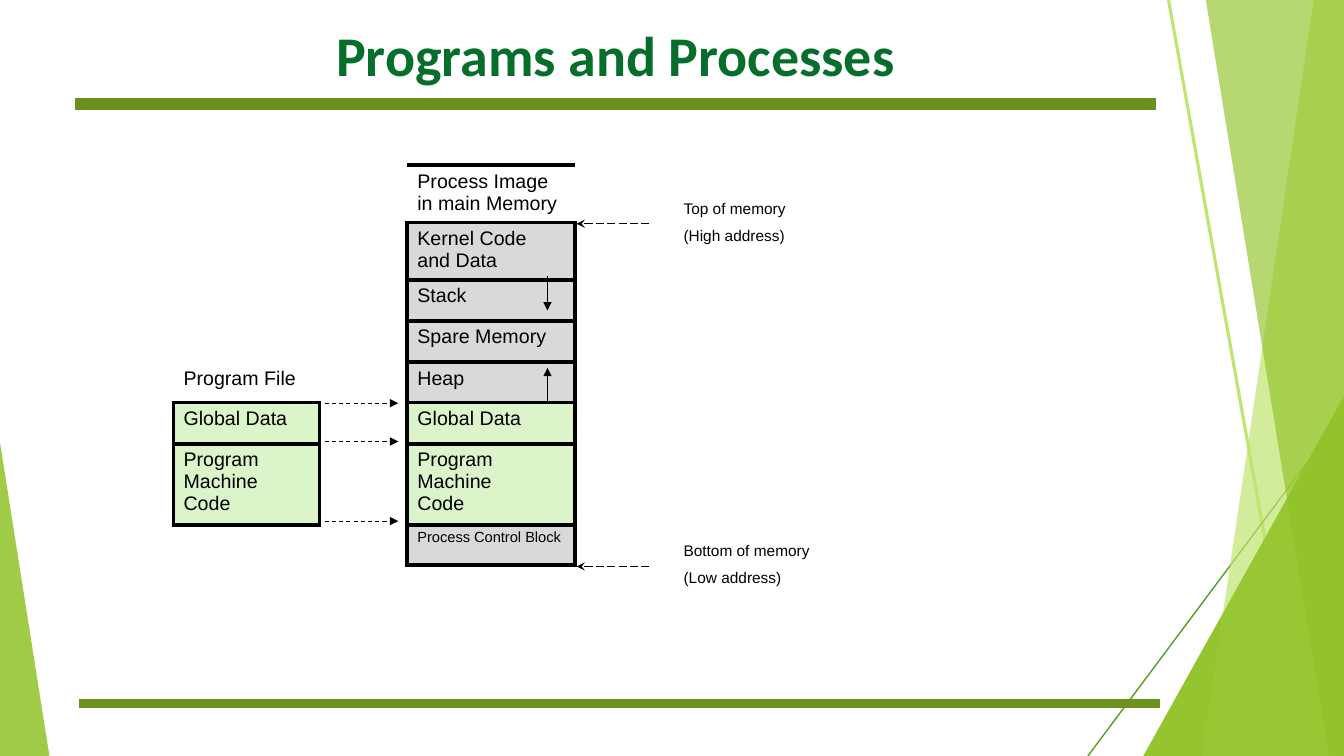
from dataclasses import dataclass

from lxml import etree
from pptx import Presentation
from pptx.dml.color import RGBColor
from pptx.enum.dml import MSO_LINE
from pptx.enum.shapes import MSO_CONNECTOR, MSO_SHAPE
from pptx.enum.text import MSO_ANCHOR, PP_ALIGN
from pptx.oxml.ns import qn
from pptx.util import Inches, Pt

STRAIGHT = MSO_CONNECTOR.STRAIGHT
TRIANGLE = MSO_SHAPE.ISOSCELES_TRIANGLE
DASH, LONG_DASH = MSO_LINE.DASH, MSO_LINE.LONG_DASH
MIDDLE, TOP, BOTTOM = MSO_ANCHOR.MIDDLE, MSO_ANCHOR.TOP, MSO_ANCHOR.BOTTOM
CENTER = PP_ALIGN.CENTER


@dataclass(frozen=True)
class Theme:
    """Colours, fonts and type sizes of the slide."""
    green: str = "90C226"
    lime: str = "BFE471"
    dark_green: str = "54A021"
    rule: str = "6C911C"
    title: str = "056E2B"
    black: str = "000000"
    system: str = "D9D9D9"
    program: str = "DBF4CA"
    title_font: str = "Calibri"
    body_font: str = "Arial"
    title_size: float = 40
    body_size: float = 14
    note_size: float = 11
    small_size: float = 10.5


T = Theme()
COLS = [1.45, 0.87, 1.66, 0.98, 2.79]
ROWS = [0.53, 0.54, 0.41, 0.41, 0.4, 0.41, 0.76, 0.4, 0.5]
CODE = "Program Machine\nCode"
FILE = {4: ("Program File", None), 5: ("Global Data", T.program), 6: (CODE, T.program)}
IMAGE = [
    ("Process Image in main Memory", None),
    ("Kernel Code\nand Data", T.system),
    ("Stack", T.system),
    ("Spare Memory", T.system),
    ("Heap", T.system),
    ("Global Data", T.program),
    (CODE, T.program),
    ("Process Control Block", T.system),
]
NOTES = {0: "Top of memory", 1: "(High address)", 7: "Bottom of memory", 8: "(Low address)"}


def style_text(tf, text, size, font, color, bold=False, align=None):
    """Write text into a frame, one paragraph a line."""
    tf.word_wrap = True
    tf.text = text
    for p in tf.paragraphs:
        p.alignment = align
        p.font.size = Pt(size)
        p.font.name = font
        p.font.bold = bold
        p.font.color.rgb = RGBColor.from_string(color)


def paint(s, color, alpha):
    """Give a shape a translucent fill and no outline."""
    s.shadow.inherit = False
    s.fill.solid()
    s.fill.fore_color.rgb = RGBColor.from_string(color)
    s.line.fill.background()
    clr = s.fill._xPr.find(qn("a:solidFill"))[0]
    etree.SubElement(clr, qn("a:alpha")).set("val", str(alpha * 1000))


def add_line(slide, start, end, color, width, dash=None, head=None, tail=None):
    """Draw a straight line with optional dash and arrowheads."""
    s = slide.shapes.add_connector(STRAIGHT, *map(Inches, (*start, *end)))
    s.line.color.rgb = RGBColor.from_string(color)
    s.line.width = Pt(width)
    if dash:
        s.line.dash_style = dash
    ln = s.line._get_or_add_ln()
    for tag, kind in (("a:headEnd", head), ("a:tailEnd", tail)):
        if kind:
            etree.SubElement(ln, qn(tag)).set("type", kind)
    etree.SubElement(s._element.spPr, qn("a:effectLst"))


def add_triangle(slide, box, apex, alpha):
    """Draw a translucent green triangle with its apex at a share of the width."""
    s = slide.shapes.add_shape(TRIANGLE, *map(Inches, box))
    s.adjustments[0] = apex
    paint(s, T.green, alpha)


def add_band(slide, points, color, alpha):
    """Draw a translucent polygon."""
    (x, y), *rest = [(Inches(a), Inches(b)) for a, b in points]
    builder = slide.shapes.build_freeform(x, y)
    builder.add_line_segments(rest, close=True)
    paint(builder.convert_to_shape(), color, alpha)


def add_backdrop(slide, width, height):
    """Draw the green facets along both sides of the slide."""
    facet = (width - 1.99, height - 3.57, 1.99, 3.57)
    add_triangle(slide, facet, 1, 80)
    add_triangle(slide, (0, height - 3.11, 0.49, 3.11), 0, 85)
    add_line(slide, (width - 1.74, 0), (width - 0.4, height), T.lime, 2.25)
    add_line(slide, (width, 4.1), (width - 2.54, height), T.dark_green, 1)
    for top_left, bottom_left, color, alpha in ((0.3, 1.41, T.lime, 70), (1.37, 0.15, T.green, 65)):
        add_band(slide, [(width - top_left, 0), (width, 0), (width, height),
                         (width - bottom_left, height)], color, alpha)
    add_triangle(slide, facet, 1, 80)


def add_title(slide, left, top, width, height):
    """Place the title above its rule, and the footer rule."""
    s = slide.shapes.add_textbox(*map(Inches, (left, top, width, height)))
    style_text(s.text_frame, "Programs and Processes", T.title_size, T.title_font,
               T.title, True, CENTER)
    s.text_frame.vertical_anchor = MIDDLE
    for x, y, weight in ((left, 1.03, 8.75), (left + 0.04, 6.98, 6)):
        add_line(slide, (x + width, y), (x, y), T.rule, weight)


def set_borders(cell, sides):
    """Draw the named cell sides in black and hide the others."""
    tc_pr = cell._tc.get_or_add_tcPr()
    for i, side in enumerate("LRTB"):
        ln = etree.Element(qn(f"a:ln{side}"), w=str(Pt(3)))
        if side in sides:
            fill = etree.SubElement(ln, qn("a:solidFill"))
            etree.SubElement(fill, qn("a:srgbClr")).set("val", T.black)
        else:
            etree.SubElement(ln, qn("a:noFill"))
        tc_pr.insert(i, ln)


def cell_content(row, col):
    """Return text, fill, type size and anchor of a table cell."""
    if col == 0:
        return *FILE.get(row, ("", None)), T.body_size, TOP
    if col == 2 and row < len(IMAGE):
        text, fill = IMAGE[row]
        return text, fill, T.small_size if row == 7 else T.body_size, TOP
    if col == 4:
        return NOTES.get(row, ""), None, T.note_size, BOTTOM if row in (0, 7) else TOP
    return "", None, T.body_size, TOP


def add_memory_table(slide, left, top):
    """Place the table of program file, process image and address notes."""
    size = (sum(COLS), sum(ROWS))
    tbl = slide.shapes.add_table(len(ROWS), len(COLS), *map(Inches, (left, top, *size))).table
    tbl.first_row = tbl.horz_banding = False
    for column, w in zip(tbl.columns, COLS):
        column.width = Inches(w)
    for r, h in enumerate(ROWS):
        tbl.rows[r].height = Inches(h)
        for c in range(len(COLS)):
            cell = tbl.cell(r, c)
            text, fill, pt, cell.vertical_anchor = cell_content(r, c)
            style_text(cell.text_frame, text, pt, T.body_font, T.black)
            if fill:
                cell.fill.solid()
                cell.fill.fore_color.rgb = RGBColor.from_string(fill)
            else:
                cell.fill.background()
            near = {"L": (r, c - 1), "R": (r, c + 1), "T": (r - 1, c), "B": (r + 1, c)}
            set_borders(cell, [k for k, at in near.items() if fill or cell_content(*at)[1]])


def add_arrows(slide, left, top):
    """Draw the mapping, address and growth arrows over the table."""
    for y in (2.36, 2.74, 3.53):
        add_line(slide, (left + 1.5, top + y), (left + 2.23, top + y), T.black, 0.75,
                 DASH, tail="triangle")
    for y in (0.58, 3.98):
        add_line(slide, (left + 4, top + y), (left + 4.74, top + y), T.black, 0.75,
                 LONG_DASH, head="stealth")
    for start, end in ((1.1, 1.44), (2.36, 2.01)):
        add_line(slide, (left + 3.71, top + start), (left + 3.71, top + end), T.black, 0.75,
                 tail="triangle")


def main():
    """Build and save the slide."""
    prs = Presentation()
    width, height = 13.33, 7.5
    prs.slide_width, prs.slide_height = Inches(width), Inches(height)
    slide = prs.slides.add_slide(prs.slide_layouts[6])
    add_backdrop(slide, width, height)
    add_title(slide, 0.74, 0.03, 10.73, 1.01)
    add_memory_table(slide, 1.72, 1.64)
    add_arrows(slide, 1.72, 1.64)
    prs.save("out.pptx")


if __name__ == "__main__":
    main()
